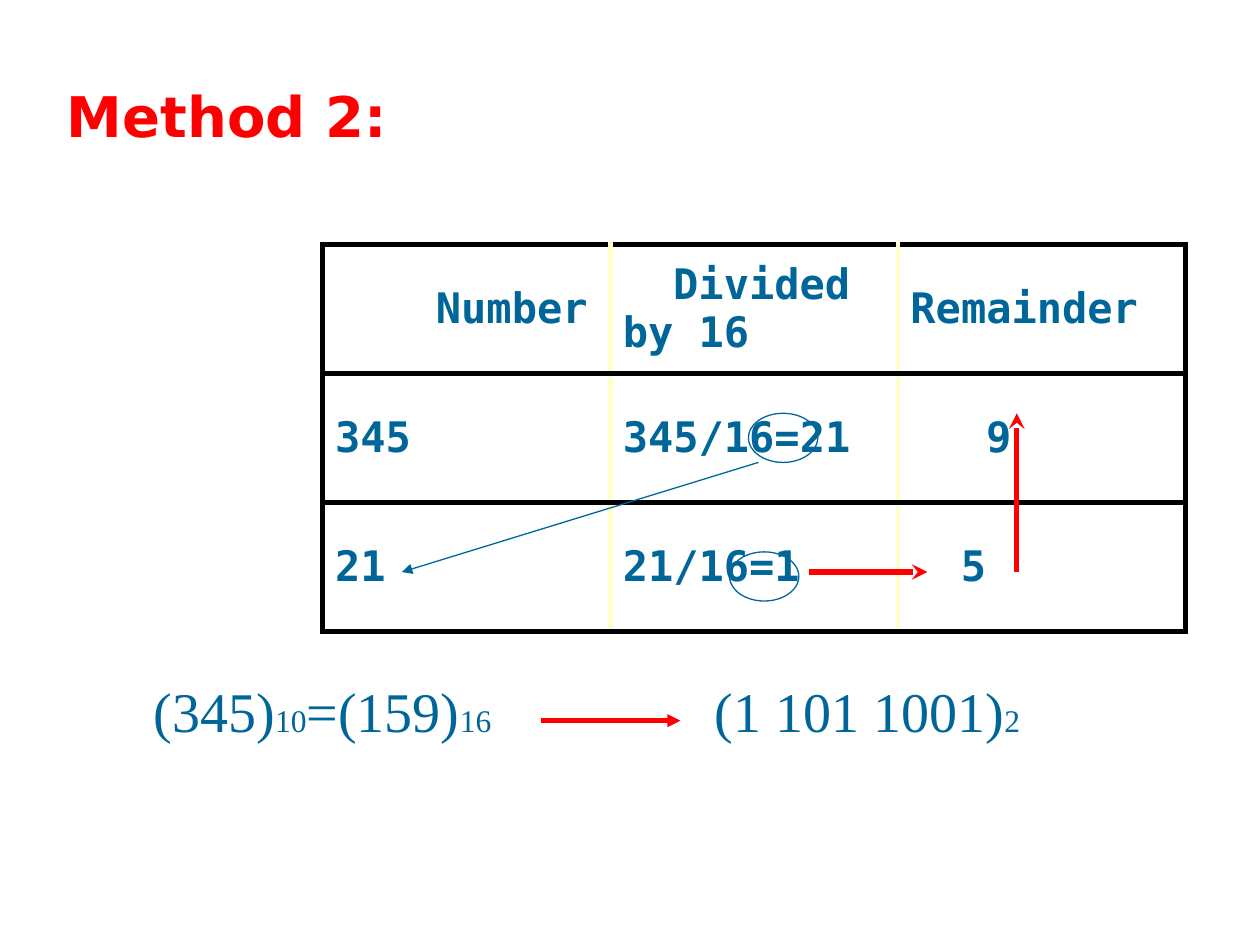
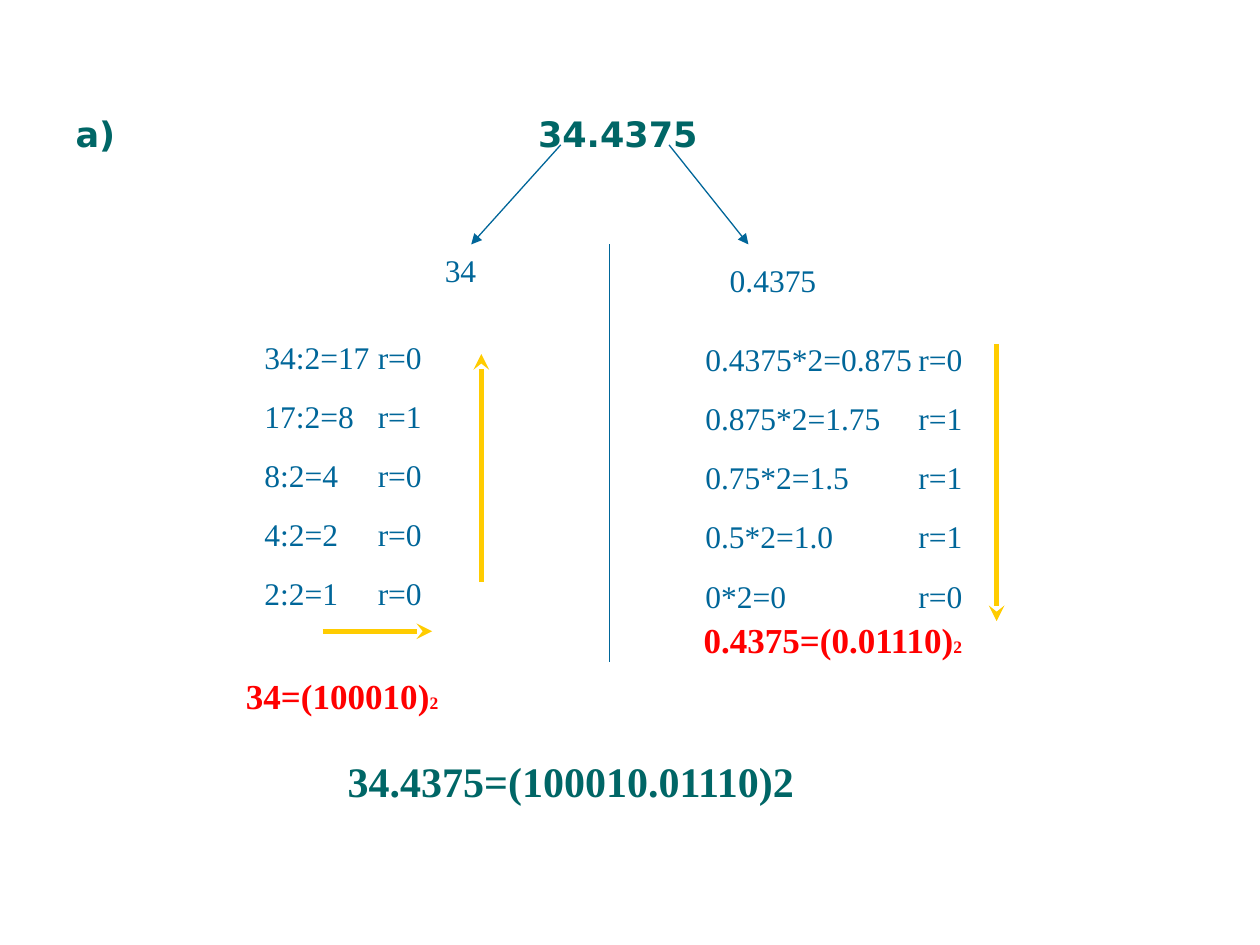
from lxml.etree import SubElement
from pptx import Presentation
from pptx.dml.color import RGBColor
from pptx.enum.shapes import MSO_CONNECTOR, MSO_SHAPE
from pptx.enum.text import MSO_ANCHOR, MSO_AUTO_SIZE, PP_ALIGN
from pptx.oxml.ns import qn
from pptx.util import Inches, Pt

BLUE, RED, GREEN, GOLD = "006699", "FF0000", "006666", "FFCC00"
BLACK, CREAM = "000000", "FFFFCC"
SANS, MONO, SERIF = "DejaVu Sans", "DejaVu Sans Mono", "Times New Roman"

# Each cell: text, first-line indent in characters
DIVISIONS = [
    [("Number", 4), ("Divided by 16", 2), ("Remainder", 0)],
    [("345", 0), ("345/16=21", 0), ("9", 3)],
    [("21", 0), ("21/16=1", 0), ("5", 2)],
]
TABLE_BOX = (2.56, 1.94, 6.85, 3.07)
CHAR_WIDTH = 0.2
QUOTIENT_RINGS = [(5.94, 3.28), (5.79, 4.38)]

# Each formula: box, runs as (text, size)
HEX_FORMULAS = [
    ((0.59, 5.32, 3.94, 0.64), [("(345)", 32), ("10", 18), ("=(159)", 32), ("16", 18)]),
    ((5.31, 5.32, 3.15, 0.64), [("(1 101 1001)", 32), ("2", 18)]),
]
# Each arrow: start, end, colour, width, head
HEX_ARROWS = [
    ((6.02, 3.67), (3.19, 4.54), BLUE, 0.75, "triangle"),
    ((6.42, 4.54), (7.36, 4.54), RED, 3, "stealth"),
    ((8.07, 4.54), (8.07, 3.28), RED, 3, "stealth"),
    ((4.29, 5.72), (5.4, 5.72), RED, 2.5, "triangle"),
]

PARTS = [("34", (2.87, 1.94, 1.57, 0.4)), ("0.4375", (5.31, 2.02, 1.65, 0.4))]
# Each list: box, tab stop of the remainders, (step, remainder) lines
STEPS = [
    ((2.0, 2.63, 1.7, 2.3), 0.9,
     [("34:2=17", 0), ("17:2=8", 1), ("8:2=4", 0), ("4:2=2", 0), ("2:2=1", 0)]),
    ((5.5, 2.65, 2.4, 2.3), 1.69,
     [("0.4375*2=0.875", 0), ("0.875*2=1.75", 1), ("0.75*2=1.5", 1),
      ("0.5*2=1.0", 1), ("0*2=0", 0)]),
]
RESULTS = [
    ((1.22, 5.3, 2.99, 0.42), [("34=(100010)", 20), ("2", 10)]),
    ((5.31, 4.86, 2.6, 0.42), [("0.4375=(0.01110)", 20), ("2", 10)]),
]
BINARY_ARROWS = [
    ((4.45, 1.15), (3.74, 1.94), BLUE, 0.75, "triangle"),
    ((5.31, 1.15), (5.94, 1.94), BLUE, 0.75, "triangle"),
    ((4.84, 1.94), (4.84, 5.25), BLUE, 0.75, None),
    ((2.56, 5.01), (3.43, 5.01), GOLD, 3, "stealth"),
    ((3.82, 4.62), (3.82, 2.81), GOLD, 3, "stealth"),
    ((7.91, 2.73), (7.91, 4.93), GOLD, 3, "stealth"),
]


def rgb(color):
    return RGBColor.from_string(color)


def inches(values):
    return [Inches(v) for v in values]


def set_font(p, name, size, color, bold=False):
    p.font.name, p.font.size, p.font.bold = name, Pt(size), bold
    p.font.color.rgb = rgb(color)


def add_tab(p, position):
    tabs = SubElement(p._p.get_or_add_pPr(), qn("a:tabLst"))
    SubElement(tabs, qn("a:tab"), pos=str(Inches(position)), algn="l")


def add_title_slide(prs, text, box, size, color, tab=None):
    slide = prs.slides.add_slide(prs.slide_layouts[5])
    sp = slide.shapes.title
    sp.left, sp.top, sp.width, sp.height = inches(box)
    tf = sp.text_frame
    tf.auto_size, tf.vertical_anchor = MSO_AUTO_SIZE.NONE, MSO_ANCHOR.TOP
    p = tf.paragraphs[0]
    p.text, p.alignment = text, PP_ALIGN.LEFT
    if tab:
        add_tab(p, tab)
    set_font(p, SANS, size, color, True)
    return slide


def add_frame(slide, box):
    tf = slide.shapes.add_textbox(*inches(box)).text_frame
    tf.word_wrap = True
    return tf


def add_formula(slide, box, runs, color=BLUE, bold=False):
    """Centre one line of (text, size) runs in a text box."""
    p = add_frame(slide, box).paragraphs[0]
    p.alignment = PP_ALIGN.CENTER
    set_font(p, SERIF, runs[0][1], color, bold)
    for text, size in runs:
        r = p.add_run()
        r.text, r.font.size = text, Pt(size)


def add_steps(slide, box, tab, steps):
    tf = add_frame(slide, box)
    for i, (step, remainder) in enumerate(steps):
        p = tf.add_paragraph() if i else tf.paragraphs[0]
        p.text = f"{step}\tr={remainder}"
        p.space_before = Pt(12.2 if i else 0)
        add_tab(p, tab)
        set_font(p, SERIF, 18, BLUE)


def add_arrow(slide, start, end, color, width, head):
    line = slide.shapes.add_connector(MSO_CONNECTOR.STRAIGHT, *inches(start + end))
    line.line.color.rgb, line.line.width = rgb(color), Pt(width)
    SubElement(line._element.spPr, qn("a:effectLst"))
    if head:
        SubElement(line.line._get_or_add_ln(), qn("a:tailEnd"), type=head)


def add_ring(slide, left, top):
    sp = slide.shapes.add_shape(MSO_SHAPE.OVAL, *inches((left, top, 0.55, 0.39)))
    sp.shadow.inherit = False
    sp.fill.background()
    sp.line.color.rgb, sp.line.width = rgb(BLUE), Pt(0.75)


def set_borders(cell, left, right, top, bottom):
    tcPr = cell._tc.get_or_add_tcPr()
    for side, color in zip("LRTB", (left, right, top, bottom)):
        ln = SubElement(tcPr, qn(f"a:ln{side}"), w=str(Pt(3)))
        SubElement(SubElement(ln, qn("a:solidFill")), qn("a:srgbClr"), val=color)


def add_division_table(slide):
    cols = len(DIVISIONS[0])
    table = slide.shapes.add_table(len(DIVISIONS), cols, *inches(TABLE_BOX)).table
    table.first_row = table.horz_banding = False
    for i, row in enumerate(DIVISIONS):
        for j, (text, indent) in enumerate(row):
            cell = table.cell(i, j)
            cell.vertical_anchor = MSO_ANCHOR.MIDDLE
            set_borders(cell, CREAM if j else BLACK,
                        CREAM if j < cols - 1 else BLACK, BLACK, BLACK)
            cell.fill.background()
            p = cell.text_frame.paragraphs[0]
            p.text = text
            p._p.get_or_add_pPr().set("indent", str(Inches(indent * CHAR_WIDTH)))
            set_font(p, MONO, 24, BLUE, True)


def build_hex_slide(prs):
    slide = add_title_slide(prs, "Method 2:", (0.43, 0.6, 9, 0.71), 32, RED)
    add_division_table(slide)
    for ring in QUOTIENT_RINGS:
        add_ring(slide, *ring)
    for box, runs in HEX_FORMULAS:
        add_formula(slide, box, runs)
    for arrow in HEX_ARROWS:
        add_arrow(slide, *arrow)


def build_binary_slide(prs):
    slide = add_title_slide(prs, "a)\t34.4375", (0.5, 0.84, 9, 0.5), 20, GREEN, 3.67)
    for text, box in PARTS:
        add_formula(slide, box, [(text, 18)])
    for steps in STEPS:
        add_steps(slide, *steps)
    for box, runs in RESULTS:
        add_formula(slide, box, runs, RED, True)
    add_formula(slide, (1.93, 5.95, 5.2, 0.5),
                [("34.4375=(100010.01110)2", 24)], GREEN, True)
    for arrow in BINARY_ARROWS:
        add_arrow(slide, *arrow)


def main():
    prs = Presentation()
    prs.slide_width, prs.slide_height = Inches(10), Inches(7.5)
    build_hex_slide(prs)
    build_binary_slide(prs)
    prs.save("out.pptx")


if __name__ == "__main__":
    main()
